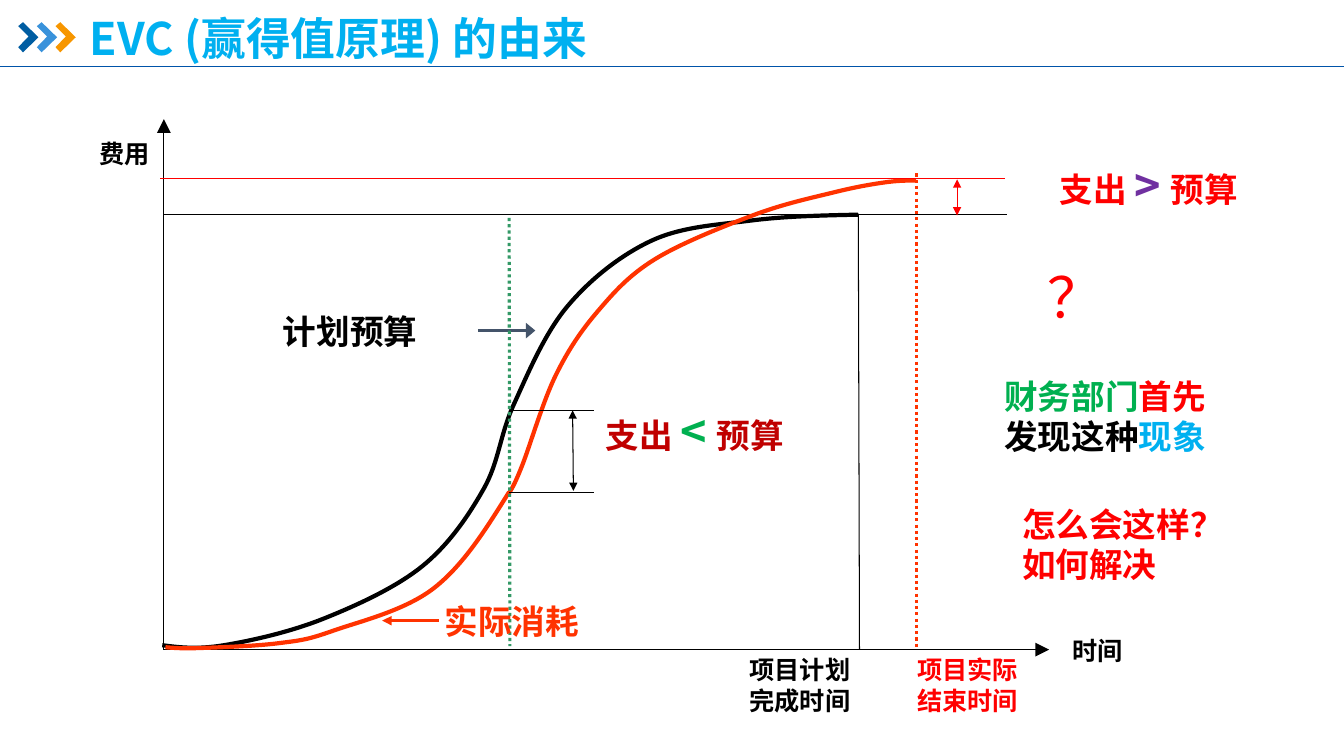
import lxml.etree
import pptx
import pptx.dml.color
import pptx.enum.dml
import pptx.enum.shapes
import pptx.enum.text
import pptx.oxml.ns
import pptx.util

Cm = pptx.util.Cm
Pt = pptx.util.Pt
qn = pptx.oxml.ns.qn

COLOURS = {
    "black": "000000", "red": "FF0000", "orange": "FF3300", "crimson": "C00000",
    "purple": "7030A0", "green": "00B050", "sea": "339966", "sky": "00B0F0",
    "slate": "44546A", "navy": "005DA2", "azure": "3992DB", "amber": "F79600",
    "rule": "0054A9",
}
SANS = "Noto Sans CJK SC"
SANS_JP = "Noto Sans CJK JP"
PLAN_KNOTS = [(4.09, 16.26), (5.64, 16.26), (8.13, 15.6), (10.64, 14.27), (12.19, 12.32),
              (12.95, 10.19), (14.3, 7.72), (16.41, 6.07), (18.92, 5.56), (21.62, 5.41)]
EARLY_KNOTS = [(4.17, 16.31), (5.05, 16.33), (7.01, 16.21), (8.38, 15.9), (10.95, 14.81),
               (12.83, 12.4)]
LATE_KNOTS = [(12.83, 12.42), (13.16, 11.73), (14.0, 9.47), (15.06, 7.85), (16.51, 6.53),
              (19.02, 5.41), (21.01, 4.85), (22.28, 4.6), (23.09, 4.55)]
CHEVRON = [(0.46, 0.66), (0.58, 0.56), (0.97, 0.94), (0.58, 1.32), (0.46, 1.19), (0.72, 0.92)]


def rgb(name):
    """Return the named colour."""
    return pptx.dml.color.RGBColor.from_string(COLOURS[name])


def write_span(para, text, size=24, colour="black", font="Arial", bold=True):
    """Add a formatted run to a paragraph."""
    span = para.add_run()
    span.text = text
    span.font.size = Pt(size)
    span.font.bold = bold
    span.font.name = font
    span.font.color.rgb = rgb(colour)
    east_asian = SANS if font == "Arial" else font
    lxml.etree.SubElement(span._r.get_or_add_rPr(), qn("a:ea"), typeface=east_asian)


def middle(first, second):
    """Return the point halfway between two points."""
    return tuple((a + b) / 2 for a, b in zip(first, second))


def bezier_segments(knots):
    """Return two control points and an end for each smooth segment."""
    arriving, leaving = [], []
    for before, knot, after in zip(knots, knots[1:], knots[2:]):
        slope = [(b - a) / 6 for a, b in zip(before, after)]
        arriving.append(tuple(k - s for k, s in zip(knot, slope)))
        leaving.append(tuple(k + s for k, s in zip(knot, slope)))
    leaving.insert(0, middle(knots[0], arriving[0]))
    arriving.append(middle(knots[-1], leaving[-1]))
    return list(zip(leaving, arriving, knots[1:]))


class SlideBuilder:
    """Hold the slide style and the current page."""

    def __init__(self, page, thin=0.75, medium=2.25, thick=3):
        """Keep the page and its line widths."""
        self.page = page
        self.thin, self.medium, self.thick = thin, medium, thick

    def title(self, text, left, top, width, height):
        """Place and fill the title placeholder."""
        box = self.page.shapes.title
        box.left, box.top, box.width, box.height = map(Cm, (left, top, width, height))
        box.text_frame.vertical_anchor = pptx.enum.text.MSO_ANCHOR.MIDDLE
        para = box.text_frame.paragraphs[0]
        para.alignment = pptx.enum.text.PP_ALIGN.LEFT
        para.line_spacing = 0.9
        write_span(para, text, size=32, colour="sky", font=SANS)

    def label(self, left, top, width, height, *lines, right=False, **style):
        """Add a text box with one list of (text, changes) per paragraph."""
        box = self.page.shapes.add_textbox(*map(Cm, (left, top, width, height)))
        frame = box.text_frame
        frame.word_wrap = True
        frame.auto_size = pptx.enum.text.MSO_AUTO_SIZE.SHAPE_TO_FIT_TEXT
        for number, spans in enumerate(lines):
            para = frame.add_paragraph() if number else frame.paragraphs[0]
            if right:
                para.alignment = pptx.enum.text.PP_ALIGN.RIGHT
            for text, changes in spans:
                write_span(para, text, **{**style, **changes})

    def line(self, start, end, colour="black", width=None, dotted=False, heads=(),
             head_width="med", head_length="med"):
        """Add a straight line with optional arrowheads."""
        connector = self.page.shapes.add_connector(
            pptx.enum.shapes.MSO_CONNECTOR.STRAIGHT, *map(Cm, start + end))
        connector.line.color.rgb = rgb(colour)
        connector.line.width = Pt(width or self.thin)
        if dotted:
            connector.line.dash_style = pptx.enum.dml.MSO_LINE.ROUND_DOT
        outline = connector.line._get_or_add_ln()
        for head in heads:
            lxml.etree.SubElement(outline, qn(f"a:{head}"), type="triangle",
                                  w=head_width, len=head_length)
        lxml.etree.SubElement(connector._element.spPr, qn("a:effectLst"))

    def outline(self, points, closed=False):
        """Add a freeform through the points."""
        corners = [(Cm(x), Cm(y)) for x, y in points]
        builder = self.page.shapes.build_freeform(*corners[0])
        builder.add_line_segments(corners[1:], close=closed)
        shape = builder.convert_to_shape()
        shape.shadow.inherit = False
        return shape

    def curve(self, knots, colour):
        """Add a thick open curve with a Bezier segment between knots."""
        shape = self.outline(knots)
        straight = list(shape._element.iter(qn("a:lnTo")))
        for piece, points in zip(straight, bezier_segments(knots)):
            bend = lxml.etree.Element(qn("a:cubicBezTo"))
            for x, y in points:
                lxml.etree.SubElement(bend, qn("a:pt"), x=str(Cm(x) - shape.left),
                                      y=str(Cm(y) - shape.top))
            piece.getparent().replace(piece, bend)
        shape.fill.background()
        shape.line.color.rgb = rgb(colour)
        shape.line.width = Pt(self.thick)

    def chevron(self, offset, colour):
        """Add a filled chevron moved right by the offset."""
        shape = self.outline([(x + offset, y) for x, y in CHEVRON], closed=True)
        shape.fill.solid()
        shape.fill.fore_color.rgb = rgb(colour)
        shape.line.fill.background()

    def comparison(self, left, top, width, sign, sign_colour, colour):
        """Add a label comparing spending with budget."""
        self.label(left, top, width, 1.6,
                   [("支出 ", {}), (f"{sign} ", {"size": 32, "colour": sign_colour}),
                    ("预算", {})], colour=colour, font=SANS)


def main():
    """Build the slide and save the deck."""
    deck = pptx.Presentation()
    deck.slide_width, deck.slide_height = Cm(33.87), Cm(19.05)
    slide = SlideBuilder(deck.slides.add_slide(deck.slide_layouts[5]))
    both = ("headEnd", "tailEnd")

    for number, colour in enumerate(("navy", "azure", "amber")):
        slide.chevron(number * 0.47, colour)
    slide.line((0, 1.68), (33.87, 1.68), "rule", 0.5)
    slide.title("EVC (赢得值原理) 的由来", 2.01, 0.43, 27.38, 1.19)

    slide.line((12.04, 8.33), (13.49, 8.33), "slate", slide.medium, heads=["tailEnd"],
               head_width="lg")
    slide.line((23.09, 4.37), (23.09, 16.37), "orange", slide.medium, dotted=True)
    for end in ((26.44, 16.37), (4.13, 3)):
        slide.line((4.13, 16.37), end, heads=["tailEnd"], head_width="lg", head_length="lg")
    slide.line((21.63, 5.38), (21.66, 16.37))
    slide.line((25.37, 5.41), (4.13, 5.41))
    slide.curve(PLAN_KNOTS, "black")
    slide.curve(EARLY_KNOTS, "orange")
    slide.curve(LATE_KNOTS, "orange")
    slide.line((9.63, 15.64), (11.07, 15.64), "orange", slide.medium, heads=["headEnd"])
    slide.line((24.12, 4.52), (24.12, 5.43), "red", heads=both)
    slide.line((25.32, 4.5), (4.04, 4.5), "red")
    for level in (10.34, 12.4):
        slide.line((14.96, level), (12.83, level))
    slide.line((14.43, 10.34), (14.45, 12.37), heads=both)
    slide.line((12.83, 5.49), (12.85, 16.28), "sea", slide.medium, dotted=True)

    slide.comparison(26.45, 3.86, 5.51, ">", "purple", "red")
    slide.comparison(15.01, 10.06, 5.74, "<", "green", "crimson")
    slide.label(2.26, 3.36, 2.18, 0.97, [("费用", {})], size=18)
    slide.label(26.78, 15.88, 1.91, 0.99, [("时间", {})], size=18)
    slide.label(6.88, 7.72, 5.41, 1.17, [("计划预算", {})])
    slide.label(10.96, 15.01, 5.61, 1.17, [("实际消耗", {})], colour="orange")
    slide.label(18.12, 16.37, 3.56, 1.75, [("项目计划完成时间", {})], right=True, size=18)
    slide.label(22.87, 16.37, 3.56, 1.75, [("项目实际", {})], [("结束时间", {})],
                size=18, colour="red")
    slide.label(26.14, 6.48, 1.88, 1.96, [("？", {})], size=40, colour="red", bold=False)
    slide.label(25.06, 9.35, 6.17, 2.29,
                [("财务部门", {"colour": "green"}), ("首先", {"colour": "red"}),
                 ("发现这种", {}), ("现象", {"colour": "sky"})], font=SANS_JP)
    slide.label(25.51, 12.57, 6.4, 2.29, [("怎么会这样？", {})], [("如何解决", {})],
                colour="red", font=SANS_JP)
    deck.save("out.pptx")


if __name__ == "__main__":
    main()
